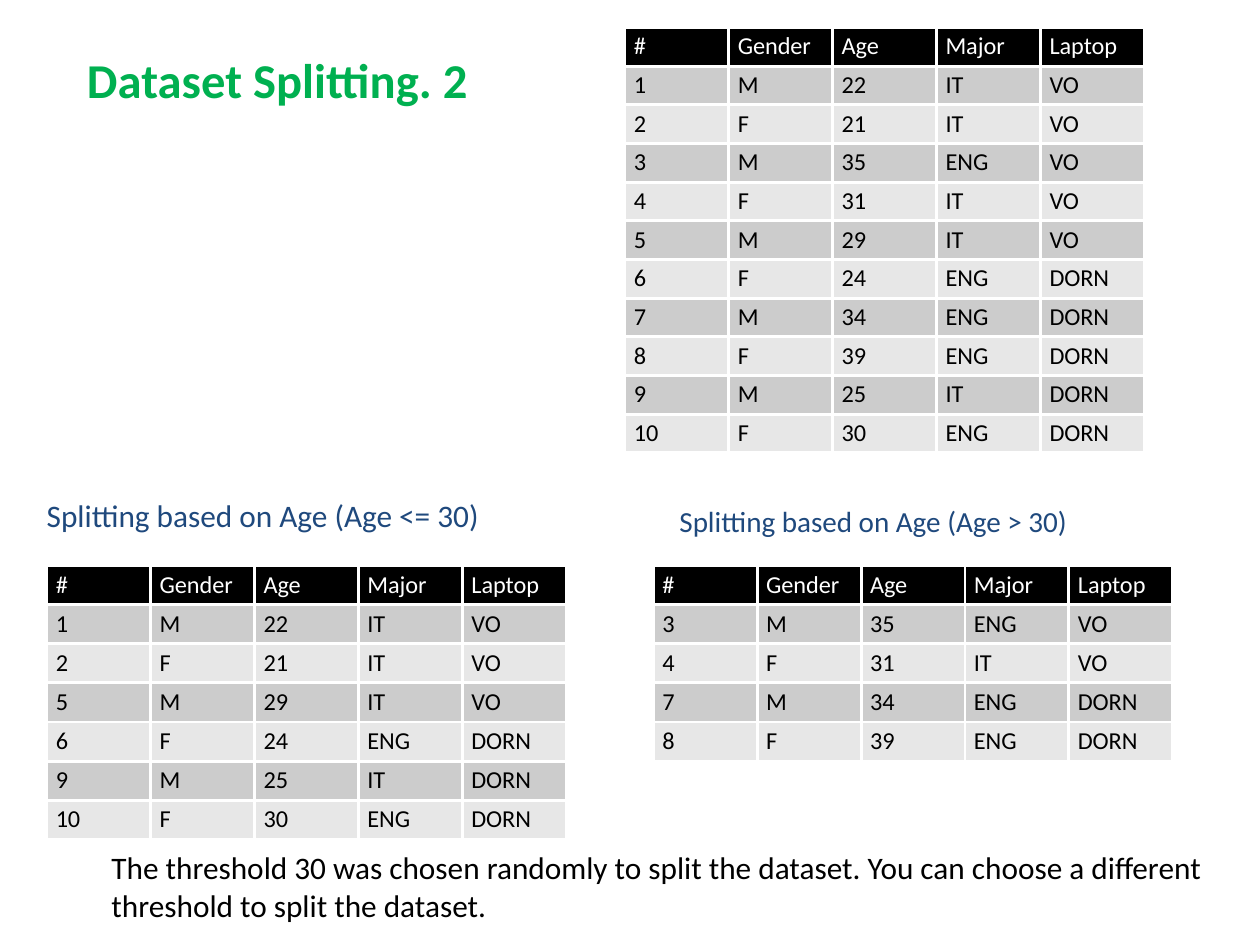
from typing import NamedTuple

from lxml.etree import SubElement as Sub
from pptx import Presentation
from pptx.dml.color import RGBColor as RGB
from pptx.enum.text import MSO_ANCHOR as Anchor
from pptx.oxml.ns import qn
from pptx.util import Pt

# The slide is a grid of 100 columns by 100 rows
WIDTH, HEIGHT = Pt(363), Pt(272.5)
COL, ROW = WIDTH / 100, HEIGHT / 100
SPAN = 41.25  # width of a table

FONT = "Calibri"
GREEN = RGB(0x00, 0xB0, 0x50)
NAVY = RGB(0x1F, 0x49, 0x7D)
BLACK = RGB(0x00, 0x00, 0x00)
WHITE = RGB(0xFF, 0xFF, 0xFF)
DARK = RGB(0xCC, 0xCC, 0xCC)
LIGHT = RGB(0xE7, 0xE7, 0xE7)


class Person(NamedTuple):
    num: int
    gender: str
    age: int
    major: str
    laptop: str


class Label(NamedTuple):
    text: str
    left: float
    top: float
    width: float
    height: float
    size: float
    color: RGB
    bold: bool = False
    inset: bool = True
    anchor: Anchor = Anchor.TOP


class Grid(NamedTuple):
    left: float
    top: float
    line: float  # height of a table row
    people: list[Person]


HEAD = ("#", "Gender", "Age", "Major", "Laptop")
LIMIT = 30
PEOPLE = [
    Person(1, "M", 22, "IT", "VO"),
    Person(2, "F", 21, "IT", "VO"),
    Person(3, "M", 35, "ENG", "VO"),
    Person(4, "F", 31, "IT", "VO"),
    Person(5, "M", 29, "IT", "VO"),
    Person(6, "F", 24, "ENG", "DORN"),
    Person(7, "M", 34, "ENG", "DORN"),
    Person(8, "F", 39, "ENG", "DORN"),
    Person(9, "M", 25, "IT", "DORN"),
    Person(10, "F", 30, "ENG", "DORN"),
]

LABELS = [
    Label("Dataset Splitting. 2", 6.9, 5.3, 86.3, 6.35, 14, GREEN,
          bold=True, inset=False),
    Label(f"Splitting based on Age (Age <= {LIMIT})", 3.72, 52.4, SPAN, 4,
          9, NAVY, inset=False, anchor=Anchor.BOTTOM),
    Label(f"Splitting based on Age (Age > {LIMIT})", 51.98, 51.85, SPAN, 6.35,
          8.4, NAVY, anchor=Anchor.BOTTOM),
    Label(f"The threshold {LIMIT} was chosen randomly to split the dataset. "
          "You can choose a different threshold to split the dataset.",
          6.9, 88.36, 91.07, 10.58, 9, BLACK),
]

GRIDS = [
    Grid(3.72, 59.8, 4.14, [p for p in PEOPLE if p.age <= LIMIT]),
    Grid(51.85, 59.8, 4.14, [p for p in PEOPLE if p.age > LIMIT]),
    Grid(49.6, 2.9, 4.09, PEOPLE),
]


def place(left: float, top: float, width: float, height: float) -> list[int]:
    return [round(left * COL), round(top * ROW),
            round(width * COL), round(height * ROW)]


def style(para, size: float, color: RGB, bold: bool = False) -> None:
    for run in para.runs:
        font = run.font
        font.name, font.size, font.bold = FONT, Pt(size), bold
        font.color.rgb = color


def draw_label(slide, label: Label) -> None:
    box = slide.shapes.add_textbox(
        *place(label.left, label.top, label.width, label.height))
    frame = box.text_frame
    frame.word_wrap = True
    frame.vertical_anchor = label.anchor
    if not label.inset:
        frame.margin_left = frame.margin_right = 0
        frame.margin_top = frame.margin_bottom = 0
    frame.text = label.text
    style(frame.paragraphs[0], label.size, label.color, label.bold)


def edge(cell) -> None:
    """Give a cell thin white borders."""
    props = cell._tc.get_or_add_tcPr()
    for side in "LRTB":
        line = Sub(props, qn(f"a:ln{side}"), w=str(Pt(1)))
        fill = Sub(line, qn("a:solidFill"))
        Sub(fill, qn("a:srgbClr"), val=str(WHITE))


def draw_grid(slide, grid: Grid) -> None:
    rows = [HEAD, *grid.people]
    spot = place(grid.left, grid.top, SPAN, grid.line * len(rows))
    table = slide.shapes.add_table(len(rows), len(HEAD), *spot).table
    for r, row in enumerate(rows):
        table.rows[r].height = round(grid.line * ROW)
        back = BLACK if r == 0 else DARK if r % 2 else LIGHT
        for c, value in enumerate(row):
            cell = table.cell(r, c)
            edge(cell)
            cell.fill.solid()
            cell.fill.fore_color.rgb = back
            cell.margin_left = cell.margin_right = Pt(2.6)
            cell.margin_top = cell.margin_bottom = Pt(1.3)
            cell.text_frame.text = str(value)
            style(cell.text_frame.paragraphs[0], 7,
                  WHITE if r == 0 else BLACK)


def main() -> None:
    deck = Presentation()
    deck.slide_width = WIDTH
    deck.slide_height = HEIGHT
    slide = deck.slides.add_slide(deck.slide_layouts[6])

    # Title, headings and note
    for label in LABELS:
        draw_label(slide, label)

    # The two parts and the whole dataset
    for grid in GRIDS:
        draw_grid(slide, grid)

    deck.save("out.pptx")


if __name__ == "__main__":
    main()
